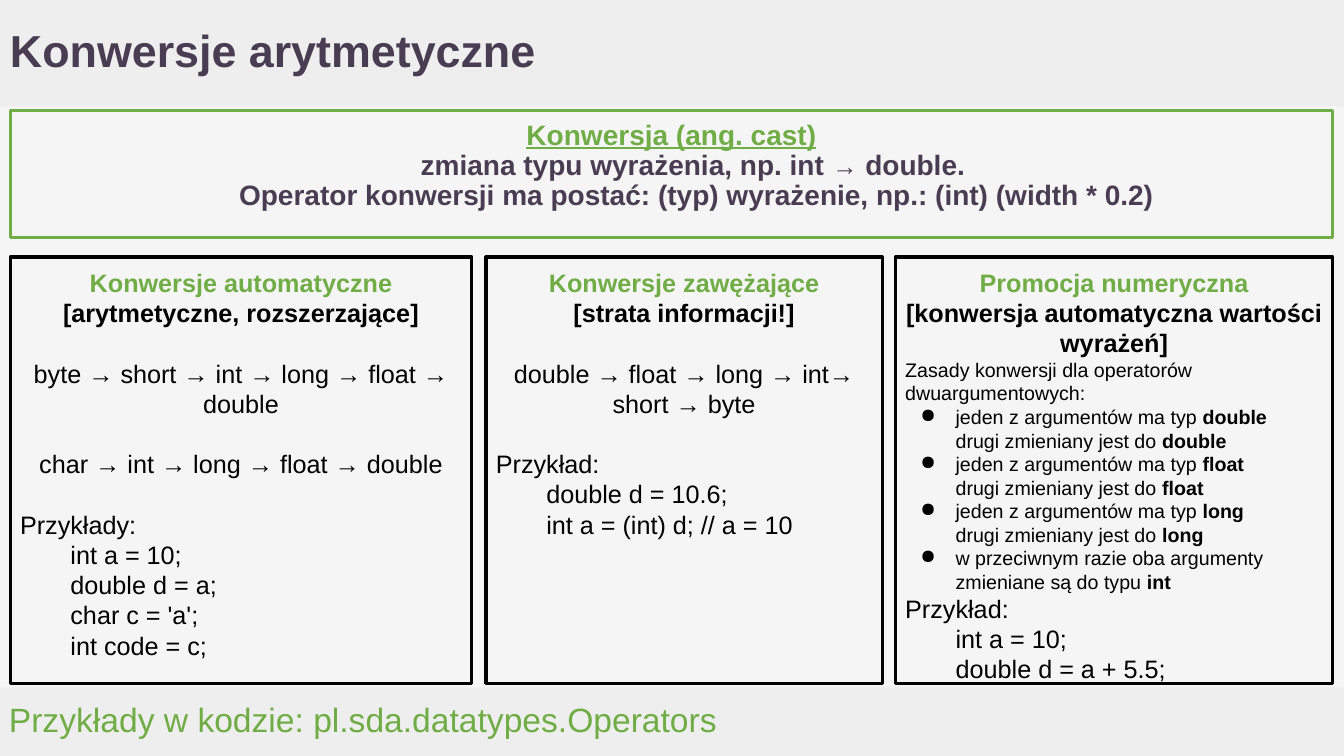
from lxml import etree
from pptx import Presentation
from pptx.dml.color import RGBColor
from pptx.enum.shapes import MSO_SHAPE
from pptx.enum.text import MSO_ANCHOR, PP_ALIGN
from pptx.oxml.ns import qn
from pptx.util import Inches, Pt

RECT = MSO_SHAPE.RECTANGLE
LEFT, MID = PP_ALIGN.LEFT, PP_ALIGN.CENTER
TOP, MIDDLE = MSO_ANCHOR.TOP, MSO_ANCHOR.MIDDLE
GREEN, PLUM, BLACK = "70AD47", "4A3D53", "000000"

STYLES = {
    "title": (32, PLUM, True, LEFT, 0, 0.9),
    "foot": (24, GREEN, False, LEFT, 0, 1),
    "term": (20, GREEN, True, MID, 0, 0.9),
    "rule": (20, PLUM, True, MID, 0.5, 0.9),
    "head": (18, GREEN, True, MID, 0, 1),
    "sub": (18, BLACK, True, MID, 0, 1),
    "chain": (18, BLACK, False, MID, 0, 1),
    "label": (18, BLACK, False, LEFT, 0, 1),
    "code": (18, BLACK, False, LEFT, 0.5, 1),
    "note": (14, BLACK, False, LEFT, 0, 1),
    "item": (14, BLACK, False, LEFT, 0.5, 1),
    "more": (14, BLACK, False, LEFT, 0.5, 1),
}


def color(code):
    return RGBColor.from_string(code)


def write(shape, lines, anchor=TOP):
    frame = shape.text_frame
    frame.word_wrap = True
    frame.vertical_anchor = anchor
    frame.margin_left = frame.margin_right = Inches(0.1)
    frame.margin_top = frame.margin_bottom = Inches(0.1)
    for i, (kind, text, *gap) in enumerate(lines):
        size, ink, bold, align, indent, space = STYLES[kind]
        para = frame.paragraphs[0] if i == 0 else frame.add_paragraph()
        para.alignment = align
        para.line_spacing = space
        para.space_before = Pt(gap[0] if gap else 0)
        props = para._p.get_or_add_pPr()
        props.set("marL", str(Inches(indent)))
        props.set("indent", str(Inches(-0.35 if kind == "item" else 0)))
        if kind == "item":
            tint = etree.SubElement(props, qn("a:buClr"))
            etree.SubElement(tint, qn("a:srgbClr"), val=BLACK)
            etree.SubElement(props, qn("a:buChar"), char="●")
        font = para.font
        font.name = "Arial"
        font.size = Pt(size)
        font.color.rgb = color(ink)
        font.underline = kind == "term"
        parts = text.split("|")
        if len(parts) == 1:
            font.bold = bold
        for j, part in enumerate(parts):
            run = para.add_run()
            run.text = part
            if len(parts) > 1:
                run.font.bold = bold or j == 1
            if part == "→":
                run.font.italic = True
                run.font.size = Pt(18)


deck = Presentation()
deck.slide_width = Inches(13.33)
deck.slide_height = Inches(7.5)
slide = deck.slides.add_slide(deck.slide_layouts[6])
slide.background.fill.solid()
slide.background.fill.fore_color.rgb = color("F5F5F5")
shapes = slide.shapes

for top, high in ((6.82, 0.68), (0, 1.05)):
    band = shapes.add_shape(RECT, 0, Inches(top), Inches(13.33), Inches(high))
    band.shadow.inherit = False
    band.fill.solid()
    band.fill.fore_color.rgb = color("EEEEEE")
    band.line.fill.background()

title = shapes.add_textbox(0, 0, Inches(11.92), Inches(1.05))
write(title, [("title", "Konwersje arytmetyczne")], MIDDLE)
foot = shapes.add_textbox(Inches(-0.01), Inches(6.83), Inches(13.33), Inches(0.63))
write(foot, [("foot", "Przykłady w kodzie: pl.sda.datatypes.Operators")])

GAP = 21.6
cast = [
    ("term", "Konwersja (ang. cast)"),
    ("rule", "zmiana typu wyrażenia, np. int |→| double. "),
    ("rule", "Operator konwersji ma postać: (typ) wyrażenie, np.: (int) (width * 0.2)"),
]
auto = [
    ("head", "Konwersje automatyczne"),
    ("sub", "[arytmetyczne, rozszerzające]"),
    ("chain", "byte |→| short → int → long → float → double", GAP),
    ("chain", "char → int → long → float → double", GAP),
    ("label", "Przykłady:", GAP),
    ("code", "int a = 10;"),
    ("code", "double d = a;"),
    ("code", "char c = 'a';"),
    ("code", "int code = c;"),
]
narrow = [
    ("head", "Konwersje zawężające"),
    ("sub", "[strata informacji!]"),
    ("chain", "double |→| float → long → int→ short → byte", GAP),
    ("label", "Przykład:", GAP),
    ("code", "double d = 10.6;"),
    ("code", "int a = (int) d; // a = 10"),
]
promo = [
    ("head", "Promocja numeryczna"),
    ("sub", "[konwersja automatyczna wartości wyrażeń]"),
    ("note", "Zasady konwersji dla operatorów dwuargumentowych:"),
]
for kind in ("double", "float", "long"):
    promo += [
        ("item", f"jeden z argumentów ma typ |{kind}"),
        ("more", f"drugi zmieniany jest do |{kind}"),
    ]
promo += [
    ("item", "w przeciwnym razie oba argumenty zmieniane są do typu |int"),
    ("label", "Przykład:"),
    ("code", "int a = 10;"),
    ("code", "double d = a + 5.5;"),
]

for left, top, wide, high, edge, lines in (
    (0.1, 1.1, 13.12, 1.26, GREEN, cast),
    (0.1, 2.55, 4.58, 4.23, BLACK, auto),
    (4.82, 2.55, 3.93, 4.23, BLACK, narrow),
    (8.88, 2.55, 4.34, 4.23, BLACK, promo),
):
    box = shapes.add_shape(RECT, Inches(left), Inches(top), Inches(wide), Inches(high))
    box.shadow.inherit = False
    box.fill.background()
    box.line.color.rgb = color(edge)
    box.line.width = Pt(2.25)
    write(box, lines)

deck.save("out.pptx")
